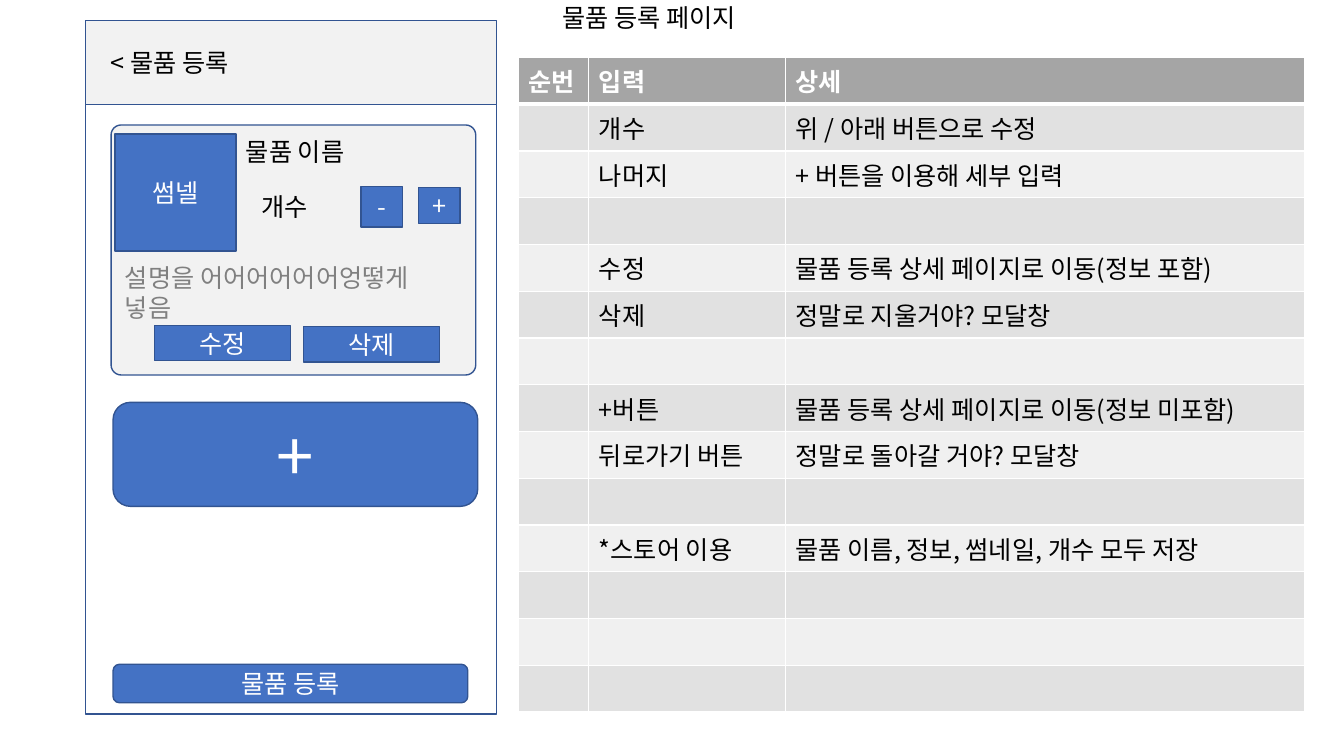
import pptx
import pptx.util
import pptx.dml.color
import pptx.enum.shapes
import pptx.enum.text
import pptx.oxml
import pptx.oxml.ns
from lxml import etree

Cm = pptx.util.Cm
Pt = pptx.util.Pt
SHAPE = pptx.enum.shapes.MSO_SHAPE
ALIGN = pptx.enum.text.PP_ALIGN
ANCHOR = pptx.enum.text.MSO_ANCHOR

FONT = "Noto Sans CJK KR"
COLORS = {
    "white": "FFFFFF",
    "black": "000000",
    "outline": "325491",
    "panel": "F2F2F2",
    "button": "4472C4",
    "muted": "808080",
    "table_head": "A5A5A5",
    "band_dark": "E1E1E1",
    "band_light": "F0F0F0",
}
TABLE_ROWS = [
    ("순번", "입력", "상세"),
    ("", "개수", "위 / 아래 버튼으로 수정"),
    ("", "나머지", "+ 버튼을 이용해 세부 입력"),
    ("", "", ""),
    ("", "수정", "물품 등록 상세 페이지로 이동(정보 포함)"),
    ("", "삭제", "정말로 지울거야? 모달창"),
    ("", "", ""),
    ("", "+버튼", "물품 등록 상세 페이지로 이동(정보 미포함)"),
    ("", "뒤로가기 버튼", "정말로 돌아갈 거야? 모달창"),
    ("", "", ""),
    ("", "*스토어 이용", "물품 이름, 정보, 썸네일, 개수 모두 저장"),
    ("", "", ""),
    ("", "", ""),
    ("", "", ""),
]
COLUMN_WIDTHS = (1.78, 4.96, 13.08)


def color(name):
    return pptx.dml.color.RGBColor.from_string(COLORS[name])


def write(frame, text, ink, size=18, align=ALIGN.LEFT, bold=False):
    frame.text = text
    frame.word_wrap = True
    for para in frame.paragraphs:
        para.alignment = align
        for span in para.runs:
            span.font.size = Pt(size)
            span.font.bold = bold
            span.font.color.rgb = color(ink)
            span.font.name = FONT
            east_asian = etree.SubElement(span.font._element, pptx.oxml.ns.qn("a:ea"))
            east_asian.set("typeface", FONT)


def place(origin, x, y, width, height):
    """Turn an offset from the origin, in centimetres, into a shape's position."""
    return Cm(origin[0] + x), Cm(origin[1] + y), Cm(width), Cm(height)


def add_panel(page, area, fill, kind=SHAPE.RECTANGLE):
    box = page.shapes.add_shape(kind, *area)
    box.shadow.inherit = False
    box.fill.solid()
    box.fill.fore_color.rgb = color(fill)
    box.line.color.rgb = color("outline")
    box.line.width = Pt(1)
    return box


def add_button(page, area, text, kind=SHAPE.RECTANGLE, size=18):
    button = add_panel(page, area, "button", kind)
    button.text_frame.vertical_anchor = ANCHOR.MIDDLE
    write(button.text_frame, text, "white", size, ALIGN.CENTER)


def add_label(page, area, text, ink="black"):
    label = page.shapes.add_textbox(*area)
    write(label.text_frame, text, ink)


def add_item_card(page, origin):
    card = add_panel(page, place(origin, 0, 0, 9.19, 6.3), "panel", SHAPE.ROUNDED_RECTANGLE)
    card.adjustments[0] = 0.04
    add_label(page, place(origin, 3.15, 0.15, 4.06, 1.02), "물품 이름")
    add_label(page, place(origin, 3.53, 1.55, 1.96, 1.02), "개수")
    add_label(page, place(origin, 0.1, 3.33, 8.94, 1.8), "설명을 어어어어어어엉떻게 넣음", "muted")
    for text, *area in (
        ("썸넬", 0.1, 0.23, 3.05, 2.95),
        ("-", 6.3, 1.55, 1.04, 1.02),
        ("+", 7.75, 1.57, 1.04, 0.91),
        ("수정", 1.09, 5.05, 3.43, 0.89),
        ("삭제", 4.85, 5.08, 3.43, 0.89),
    ):
        add_button(page, place(origin, *area), text)


def add_phone_screen(page, origin):
    add_panel(page, place(origin, 0, 0, 10.36, 17.48), "white")
    header = add_panel(page, place(origin, 0, 0, 10.36, 2.13), "panel")
    header.text_frame.vertical_anchor = ANCHOR.MIDDLE
    header.text_frame.margin_left = Cm(0.63)
    write(header.text_frame, "< 물품 등록", "black")
    add_item_card(page, (origin[0] + 0.64, origin[1] + 2.64))
    rounded = SHAPE.ROUNDED_RECTANGLE
    add_button(page, place(origin, 0.69, 9.63, 9.19, 2.62), "+", rounded, 48)
    add_button(page, place(origin, 0.69, 16.23, 8.94, 0.97), "물품 등록", rounded)


def set_borders(cell, bottom):
    properties = cell._tc.get_or_add_tcPr()
    for index, (side, width) in enumerate((("L", 1), ("R", 1), ("T", 1), ("B", bottom))):
        properties.insert(index, pptx.oxml.parse_xml(
            f'<a:ln{side} {pptx.oxml.ns.nsdecls("a")} w="{Pt(width)}"><a:solidFill>'
            f'<a:srgbClr val="{COLORS["white"]}"/></a:solidFill></a:ln{side}>'))


def add_action_table(page, area):
    table = page.shapes.add_table(len(TABLE_ROWS), len(COLUMN_WIDTHS), *area).table
    for column, width in zip(table.columns, COLUMN_WIDTHS):
        column.width = Cm(width)
    for row_index, texts in enumerate(TABLE_ROWS):
        is_head = row_index == 0
        band = "band_dark" if row_index % 2 else "band_light"
        for column_index, text in enumerate(texts):
            cell = table.cell(row_index, column_index)
            cell.fill.solid()
            cell.fill.fore_color.rgb = color("table_head" if is_head else band)
            set_borders(cell, 3 if is_head else 1)
            if text:
                write(cell.text_frame, text, "white" if is_head else "black", bold=is_head)


def set_title(page, area, text):
    title = page.shapes.title
    title.left, title.top, title.width, title.height = area
    title.text_frame.auto_size = pptx.enum.text.MSO_AUTO_SIZE.NONE
    title.text_frame.vertical_anchor = ANCHOR.TOP
    write(title.text_frame, text, "black")


def main():
    deck = pptx.Presentation()
    deck.slide_width = Cm(33.87)
    deck.slide_height = Cm(19.05)
    page = deck.slides.add_slide(deck.slide_layouts[5])
    set_title(page, place((0, 0), 13.92, -0.08, 16.94, 1.02), "물품 등록 페이지")
    add_phone_screen(page, (2.16, 0.51))
    add_action_table(page, place((0, 0), 13.06, 1.45, sum(COLUMN_WIDTHS), 16.5))
    deck.save("out.pptx")


if __name__ == "__main__":
    main()
